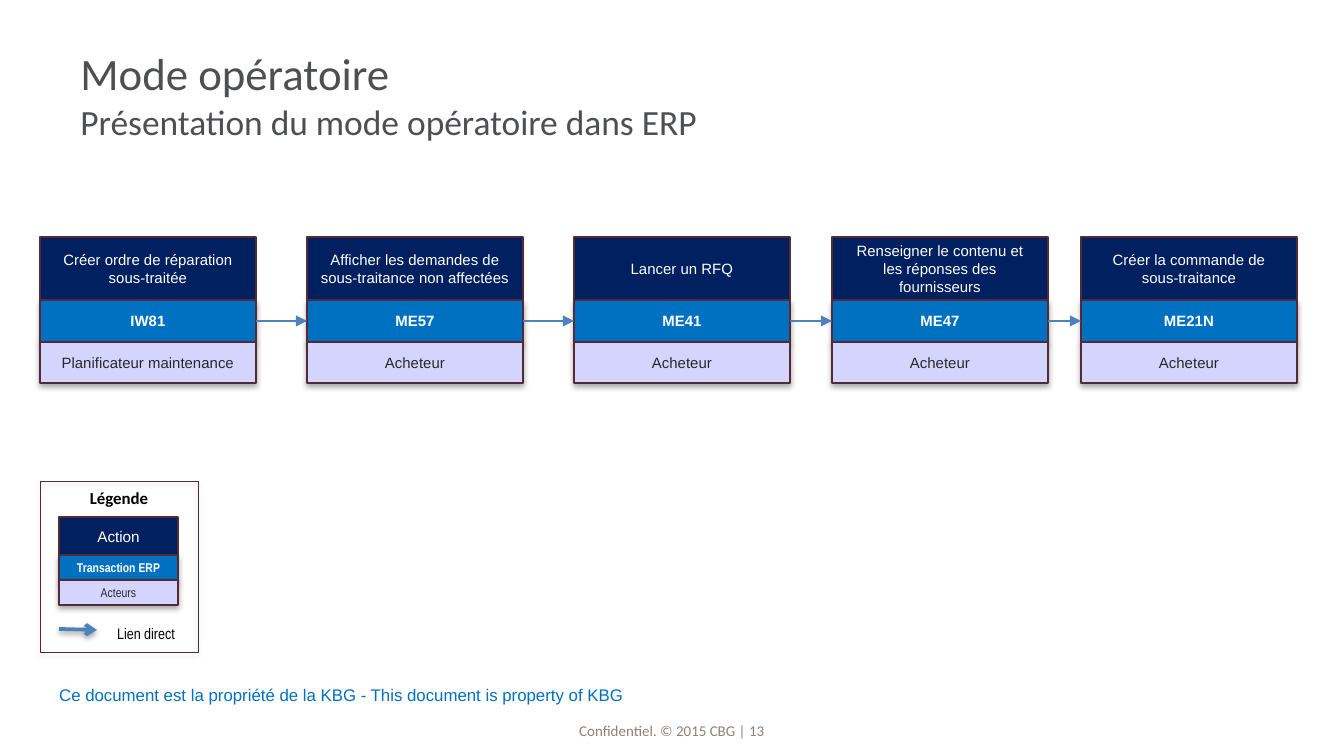
from dataclasses import dataclass
from itertools import pairwise

from pptx import Presentation
from pptx.dml.color import RGBColor
from pptx.enum.shapes import MSO_CONNECTOR, MSO_SHAPE
from pptx.enum.text import MSO_ANCHOR, MSO_AUTO_SIZE, PP_ALIGN
from pptx.oxml import parse_xml
from pptx.oxml.ns import nsdecls, qn
from pptx.util import Emu, Pt

RECT = MSO_SHAPE.RECTANGLE
LINE = MSO_CONNECTOR.STRAIGHT
MIDDLE, BOTTOM, TOP = MSO_ANCHOR.MIDDLE, MSO_ANCHOR.BOTTOM, MSO_ANCHOR.TOP
CENTER, LEFT = PP_ALIGN.CENTER, PP_ALIGN.LEFT
FIXED = MSO_AUTO_SIZE.NONE
SCALE = 9144000 / 1344

COLORS = {
    "navy": "002060", "blue": "0070C0", "lilac": "D3D5FF", "edge": "552A37",
    "arrow": "4F81BD", "white": "FFFFFF", "dark": "26282A", "black": "000000",
    "title": "4D4F53", "footer": "8D817B",
}


@dataclass
class Style:
    size: float
    color: str
    face: str = "Arial"
    bold: bool = False


@dataclass
class Row:
    height: int
    fill: str
    style: Style
    shade: bool = True


@dataclass
class Step:
    left: int
    action: str
    code: str
    actor: str


STEP_ROWS = [
    Row(63, "navy", Style(8, "white"), False),
    Row(42, "blue", Style(8, "white", bold=True)),
    Row(41, "lilac", Style(8, "dark")),
]
KEY_ROWS = [
    Row(38, "navy", Style(8.2, "white"), False),
    Row(25, "blue", Style(6.8, "white", "Arial Narrow", True)),
    Row(25, "lilac", Style(6.8, "dark", "Arial Narrow")),
]
STEPS = [
    Step(40, "Créer ordre de réparation sous-traitée", "IW81", "Planificateur maintenance"),
    Step(307, "Afficher les demandes de sous-traitance non affectées", "ME57", "Acheteur"),
    Step(574, "Lancer un RFQ", "ME41", "Acheteur"),
    Step(832, "Renseigner le contenu et les réponses des fournisseurs", "ME47", "Acheteur"),
    Step(1081, "Créer la commande de sous-traitance", "ME21N", "Acheteur"),
]


def px(*values: int) -> list[Emu]:
    return [Emu(round(value * SCALE)) for value in values]


def rgb(name: str) -> RGBColor:
    return RGBColor.from_string(COLORS[name])


def set_font(font, style: Style) -> None:
    font.size, font.name, font.bold = Pt(style.size), style.face, style.bold
    font.color.rgb = rgb(style.color)


def set_text(shape, text: str, style: Style, anchor=MIDDLE, wrap: bool = True) -> None:
    frame = shape.text_frame
    frame.word_wrap, frame.vertical_anchor = wrap, anchor
    frame.text = text
    para = frame.paragraphs[0]
    para.alignment = CENTER
    set_font(para.font, style)


def set_shadow(shape, alpha: int = 0, dist: float = 1.8) -> None:
    """Give a soft shadow below the shape, or none when alpha is 0."""
    shade = (
        f'<a:outerShdw blurRad="{Pt(3.1)}" dist="{Pt(dist)}" dir="5400000" rotWithShape="0">'
        f'<a:srgbClr val="{COLORS["black"]}"><a:alpha val="{alpha * 1000}"/></a:srgbClr>'
        "</a:outerShdw>"
    ) if alpha else ""
    shape.element.spPr.append(
        parse_xml(f'<a:effectLst {nsdecls("a")}>{shade}</a:effectLst>'))


def add_label(shapes, box: tuple, text: str, style: Style, anchor=MIDDLE, wrap: bool = True):
    label = shapes.add_textbox(*px(*box))
    set_text(label, text, style, anchor, wrap)
    return label


def add_stack(shapes, left: int, top: int, width: int, rows: list[Row], texts: tuple) -> list:
    """Draw touching rectangles from top to bottom."""
    cells = []
    for row, text in zip(rows, texts):
        cell = shapes.add_shape(RECT, *px(left, top, width, row.height))
        cell.fill.solid()
        cell.fill.fore_color.rgb = rgb(row.fill)
        cell.line.color.rgb = rgb("edge")
        cell.line.width = Pt(0.75)
        set_shadow(cell, 35 if row.shade else 0)
        set_text(cell, text, row.style)
        cells.append(cell)
        top += row.height
    return cells


def add_arrow(shapes, ends: tuple, width: float, head: str):
    arrow = shapes.add_connector(LINE, *px(*ends))
    arrow.line.color.rgb = rgb("arrow")
    arrow.line.width = Pt(width)
    arrow.element.spPr.find(qn("a:ln")).append(
        parse_xml(f'<a:tailEnd {nsdecls("a")} type="{head}"/>'))
    return arrow


def add_title(shapes) -> None:
    title = shapes.title
    title.left, title.top, title.width, title.height = px(67, 31, 1210, 126)
    frame = title.text_frame
    frame.auto_size, frame.vertical_anchor = FIXED, MIDDLE
    para = frame.paragraphs[0]
    para.alignment = LEFT
    lines = [("Mode opératoire", 24), ("Présentation du mode opératoire dans ERP", 19)]
    for index, (text, size) in enumerate(lines):
        if index:
            para.add_line_break()
        run = para.add_run()
        run.text = text
        set_font(run.font, Style(size, "title", "Calibri"))


def add_flow(shapes) -> None:
    codes = []
    for step in STEPS:
        texts = (step.action, step.code, step.actor)
        codes.append(add_stack(shapes, step.left, 237, 216, STEP_ROWS, texts)[1])
    for start, end in pairwise(codes):
        arrow = add_arrow(shapes, (0, 0, 0, 0), 1, "triangle")
        arrow.begin_connect(start, 3)
        arrow.end_connect(end, 1)
        set_shadow(arrow)


def add_legend(shapes) -> None:
    add_stack(shapes, 59, 517, 119, KEY_ROWS, ("Action", "Transaction ERP", "Acteurs"))
    arrow = add_arrow(shapes, (59, 629, 97, 630), 2, "arrow")
    set_shadow(arrow, 38, 1.6)
    add_label(shapes, (103, 618, 86, 32), "Lien direct",
              Style(8.2, "black", "Arial Narrow"), TOP, False)
    frame = shapes.add_shape(RECT, *px(40, 481, 158, 171))
    frame.fill.background()
    frame.line.color.rgb = rgb("edge")
    frame.line.width = Pt(0.25)
    set_shadow(frame, 35)
    add_label(shapes, (40, 481, 158, 34), "Légende",
              Style(9, "black", "Calibri", True), TOP)


def add_footer(shapes) -> None:
    note = add_label(shapes, (457, 716, 430, 23), "Confidentiel. © 2015 CBG | 13",
                     Style(8, "footer", "Calibri"), BOTTOM).text_frame
    note.margin_left = note.margin_right = note.margin_top = note.margin_bottom = 0
    add_label(shapes, (42, 679, 598, 32),
              "Ce document est la propriété de la KBG - This document is property of KBG",
              Style(9, "blue"))


def main() -> None:
    deck = Presentation()
    deck.slide_width, deck.slide_height = px(1344, 756)
    shapes = deck.slides.add_slide(deck.slide_layouts[5]).shapes
    add_footer(shapes)
    add_title(shapes)
    add_flow(shapes)
    add_legend(shapes)
    deck.save("out.pptx")


if __name__ == "__main__":
    main()
